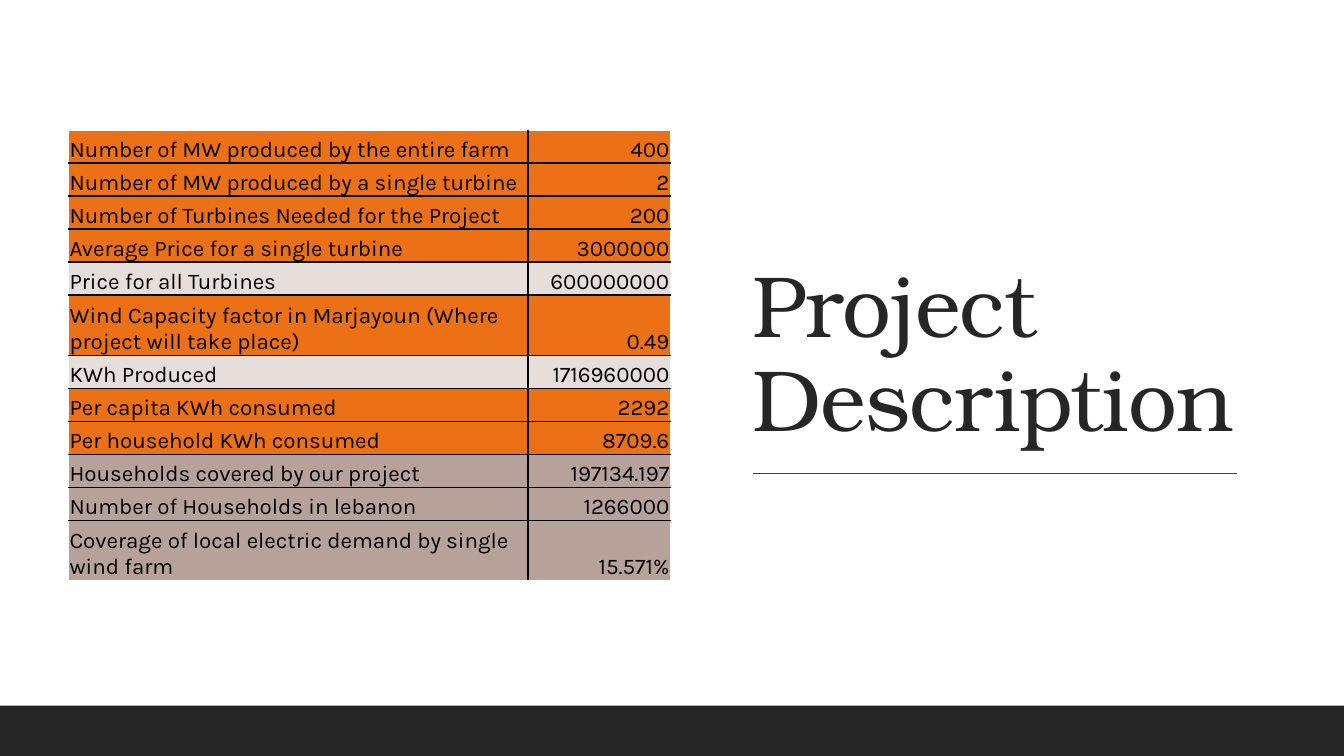
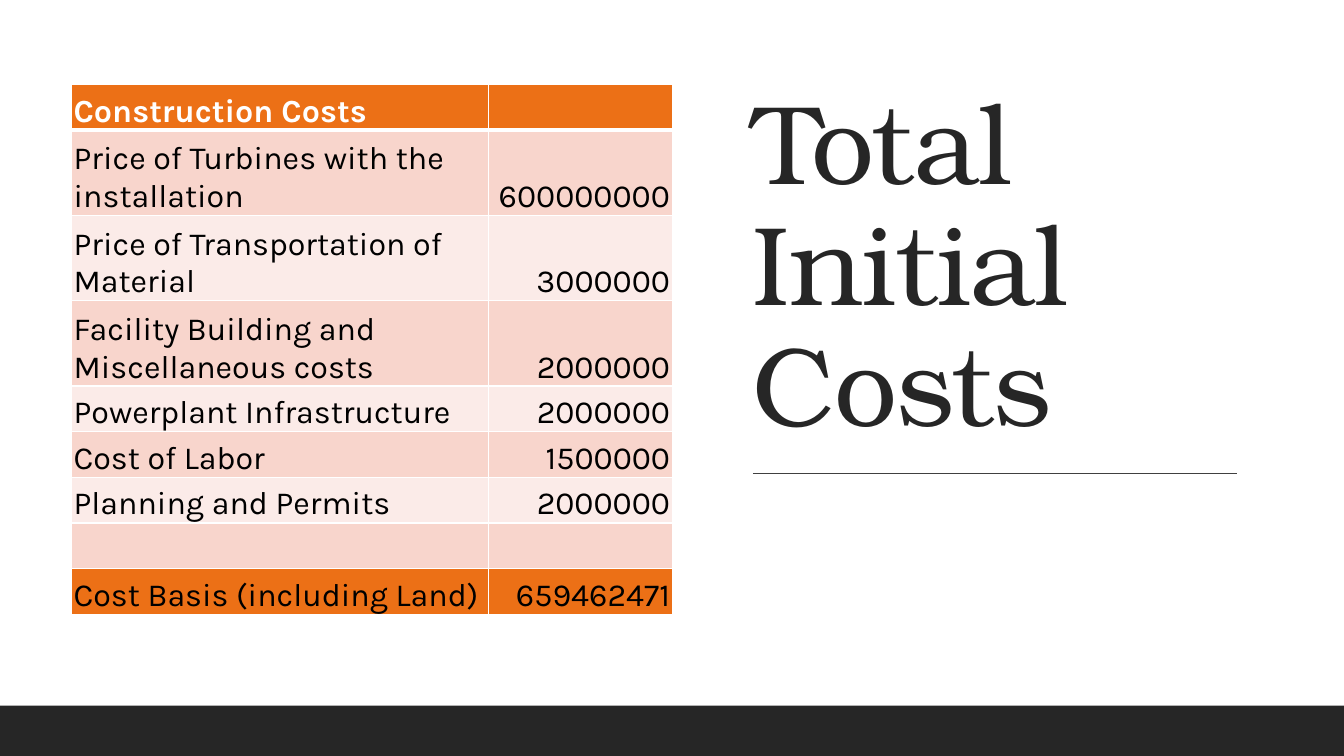
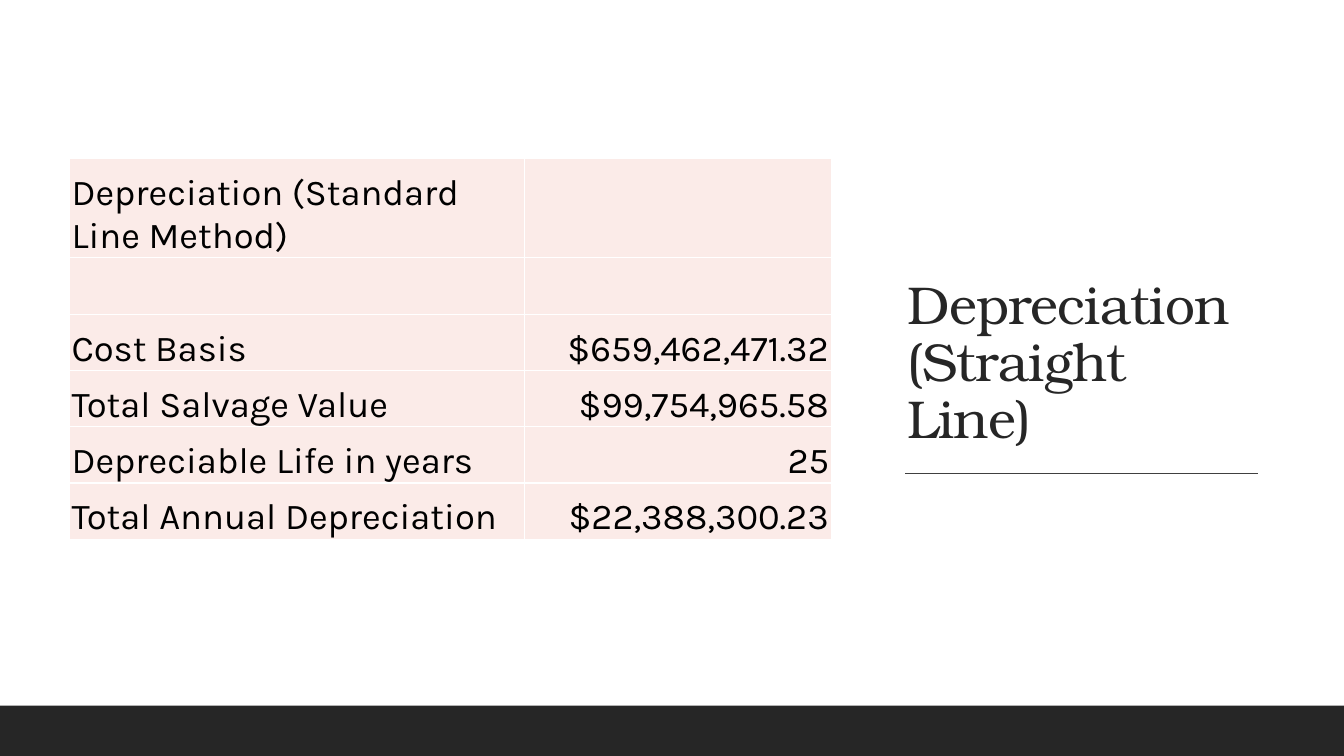
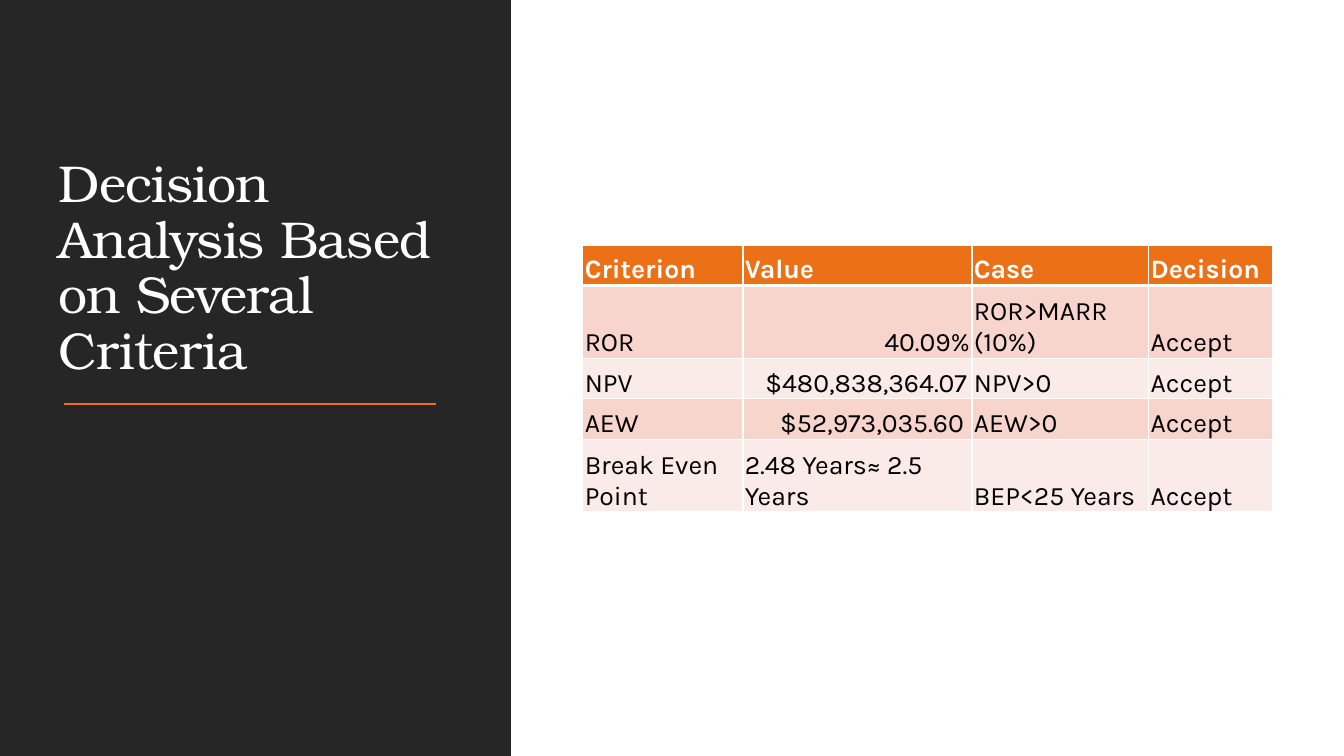
from lxml import etree
from pptx import Presentation
from pptx.dml.color import RGBColor
from pptx.enum.shapes import MSO_CONNECTOR, MSO_SHAPE
from pptx.enum.text import MSO_ANCHOR, MSO_AUTO_SIZE, PP_ALIGN
from pptx.oxml.ns import qn
from pptx.util import Pt

RECTANGLE = MSO_SHAPE.RECTANGLE
STRAIGHT = MSO_CONNECTOR.STRAIGHT
BOTTOM = MSO_ANCHOR.BOTTOM
LEFT, RIGHT = PP_ALIGN.LEFT, PP_ALIGN.RIGHT
NO_AUTOFIT = MSO_AUTO_SIZE.NONE

WHITE, BLACK, DARK, GREY = "FFFFFF", "000000", "262626", "404040"
ORANGE, ROSE, BLUSH = "EC7016", "F8D5CC", "FBEBE8"
STONE, TAUPE = "E5DEDB", "B6A29A"
TITLE_FONT, TABLE_FONT = "TeX Gyre Bonum", "Karla"

SLIDE_WIDTH, SLIDE_HEIGHT = 960, 540
BAND_TOP = 504
TITLE_TOP = 50.4
TITLE_BOTTOM = 325.4
RULE_TOP = 338.4
TITLE_ONLY_LAYOUT = 5

PROJECT_ROWS = [
    (ORANGE, "Number of MW produced by the entire farm", "400"),
    (ORANGE, "Number of MW produced by a single turbine", "2"),
    (ORANGE, "Number of Turbines Needed for the Project", "200"),
    (ORANGE, "Average Price for a single turbine", "3000000"),
    (STONE, "Price for all Turbines", "600000000"),
    (ORANGE, "Wind Capacity factor in Marjayoun (Where project will take place)", "0.49"),
    (STONE, "KWh Produced", "1716960000"),
    (ORANGE, "Per capita KWh consumed", "2292"),
    (ORANGE, "Per household KWh consumed", "8709.6"),
    (TAUPE, "Households covered by our project", "197134.197"),
    (TAUPE, "Number of Households in lebanon", "1266000"),
    (TAUPE, "Coverage of local electric demand by single wind farm", "15.571%"),
]
COST_ROWS = [
    (ORANGE, "Construction Costs", ""),
    (ROSE, "Price of Turbines with the installation", "600000000"),
    (BLUSH, "Price of Transportation of Material", "3000000"),
    (ROSE, "Facility Building and Miscellaneous costs", "2000000"),
    (BLUSH, "Powerplant Infrastructure", "2000000"),
    (ROSE, "Cost of Labor", "1500000"),
    (BLUSH, "Planning and Permits", "2000000"),
    (ROSE, "", ""),
    (ORANGE, "Cost Basis (including Land)", "659462471"),
]
DEPRECIATION_ROWS = [
    (BLUSH, "Depreciation (Standard Line Method)", ""),
    (BLUSH, "", ""),
    (BLUSH, "Cost Basis", "$659,462,471.32"),
    (BLUSH, "Total Salvage Value", "$99,754,965.58"),
    (BLUSH, "Depreciable Life in years", "25"),
    (BLUSH, "Total Annual Depreciation", "$22,388,300.23"),
]
DECISION_ROWS = [
    (ORANGE, "Criterion", "Value", "Case", "Decision"),
    (ROSE, "ROR", "40.09%", "ROR>MARR (10%)", "Accept"),
    (BLUSH, "NPV", "$480,838,364.07", "NPV>0", "Accept"),
    (ROSE, "AEW", "$52,973,035.60", "AEW>0", "Accept"),
    (BLUSH, "Break Even Point", "2.48 Years≈ 2.5 Years", "BEP<25 Years", "Accept"),
]


def color(hex_string):
    """Turn a hex string into a colour."""
    return RGBColor.from_string(hex_string)


def add_run(paragraph, text, font_name, size, hex_string, bold=False):
    """Add a formatted run to a paragraph and return it."""
    run = paragraph.add_run()
    run.text = text
    run.font.name = font_name
    run.font.size = Pt(size)
    run.font.bold = bold
    run.font.color.rgb = color(hex_string)
    return run


def add_panel(slide, left, top, width, height):
    """Add a dark rectangle behind everything else."""
    shape = slide.shapes.add_shape(RECTANGLE, Pt(left), Pt(top), Pt(width), Pt(height))
    shape.shadow.inherit = False
    shape.fill.solid()
    shape.fill.fore_color.rgb = color(DARK)
    shape.line.fill.background()
    slide.shapes._spTree.insert(2, shape._element)


def add_rule(slide, left, right, top, hex_string, weight):
    """Add the horizontal line under a title."""
    line = slide.shapes.add_connector(STRAIGHT, Pt(left), Pt(top), Pt(right), Pt(top))
    line.line.color.rgb = color(hex_string)
    line.line.width = Pt(weight)
    etree.SubElement(line._element.spPr, qn("a:effectLst"))


def set_title(slide, text, left, width, size, bottom=TITLE_BOTTOM, hex_string=DARK):
    """Place the title placeholder and write its text."""
    title = slide.shapes.title
    title.left, title.top = Pt(left), Pt(TITLE_TOP)
    title.width, title.height = Pt(width), Pt(bottom - TITLE_TOP)
    frame = title.text_frame
    frame.word_wrap = True
    frame.auto_size = NO_AUTOFIT
    frame.vertical_anchor = BOTTOM
    paragraph = frame.paragraphs[0]
    paragraph.alignment = LEFT
    paragraph.line_spacing = 0.9
    run = add_run(paragraph, text, TITLE_FONT, size, hex_string)
    run._r.get_or_add_rPr().set("spc", "-50")


def add_border(cell, side, hex_string, weight):
    """Draw one side (L, R, T or B) of a cell."""
    properties = cell._tc.get_or_add_tcPr()
    line = etree.SubElement(properties, qn(f"a:ln{side}"), w=str(Pt(weight)))
    fill = etree.SubElement(line, qn("a:solidFill"))
    etree.SubElement(fill, qn("a:srgbClr"), val=hex_string)


def is_number(text):
    """Tell whether a text is a plain figure."""
    return not text.strip("$%,.0123456789")


def fill_cell(cell, text, size, fill, inset, header):
    """Fill a cell and write its text, with figures to the right."""
    cell.fill.solid()
    cell.fill.fore_color.rgb = color(fill)
    cell.margin_left = cell.margin_right = cell.margin_top = Pt(inset)
    cell.margin_bottom = 0
    cell.vertical_anchor = BOTTOM
    paragraph = cell.text_frame.paragraphs[0]
    paragraph.alignment = RIGHT if is_number(text) else LEFT
    if text:
        add_run(paragraph, text, TABLE_FONT, size, WHITE if header else BLACK, header)
    else:
        paragraph.font.size = Pt(size)


def add_table(slide, left, top, widths, rows, size, heights, tall_rows,
              inset=1.4, header=False, inner=(WHITE, 1)):
    """Add a table; heights holds the one-line and two-line row heights."""
    row_heights = [heights[index in tall_rows] for index in range(len(rows))]
    frame = slide.shapes.add_table(len(rows), len(widths), Pt(left), Pt(top),
                                   Pt(sum(widths)), Pt(sum(row_heights)))
    table = frame.table
    table.first_row = table.horz_banding = False
    for column, width in zip(table.columns, widths):
        column.width = Pt(width)
    outer = (WHITE, 1)
    last_row, last_column = len(rows) - 1, len(widths) - 1
    for row_index, (fill, *texts) in enumerate(rows):
        table.rows[row_index].height = Pt(row_heights[row_index])
        above = (WHITE, 3) if header and row_index == 1 else inner
        below = (WHITE, 3) if header and row_index == 0 else inner
        for column_index, text in enumerate(texts):
            cell = table.cell(row_index, column_index)
            add_border(cell, "L", *(inner if column_index else outer))
            add_border(cell, "R", *(inner if column_index < last_column else outer))
            add_border(cell, "T", *(above if row_index else outer))
            add_border(cell, "B", *(below if row_index < last_row else outer))
            fill_cell(cell, text, size, fill, inset, header and row_index == 0)
    return table


def add_slide(presentation):
    """Add a slide that has only a title."""
    return presentation.slides.add_slide(presentation.slide_layouts[TITLE_ONLY_LAYOUT])


def add_banded_slide(presentation, title, left, width, size, rule):
    """Add a slide with a title at the right, a rule and a bottom band."""
    slide = add_slide(presentation)
    add_panel(slide, 0, BAND_TOP, SLIDE_WIDTH, SLIDE_HEIGHT - BAND_TOP)
    set_title(slide, title, left, width, size)
    add_rule(slide, *rule, RULE_TOP, GREY, 1)
    return slide


def add_decision_slide(presentation):
    """Add the slide with a dark panel at the left."""
    slide = add_slide(presentation)
    add_panel(slide, 0, 0, 365, SLIDE_HEIGHT)
    set_title(slide, "Decision Analysis Based on Several Criteria", 34.6, 288, 37,
              bottom=275.8, hex_string=WHITE)
    add_rule(slide, 45.4, 311.8, 288.7, ORANGE, 1.5)
    table = add_table(slide, 416.3, 175, [114.4, 163.6, 126.3, 88.8], DECISION_ROWS, 19,
                      (29, 51.8), {1, 4}, header=True)
    table.cell(2, 1).margin_right = Pt(3.5)
    table.cell(3, 1).margin_right = Pt(5.7)


def main():
    """Build and save the presentation."""
    presentation = Presentation()
    presentation.slide_width, presentation.slide_height = Pt(SLIDE_WIDTH), Pt(SLIDE_HEIGHT)

    wide_title = {"left": 530, "width": 378.7, "rule": (537.8, 883.4)}
    slide = add_banded_slide(presentation, "Project Description", size=62, **wide_title)
    add_table(slide, 49, 93, [328.3, 101.5], PROJECT_ROWS, 16, (23.6, 43), {5, 11},
              inset=0.7, inner=(BLACK, 1.5))

    slide = add_banded_slide(presentation, "Total Initial Costs", size=80, **wide_title)
    add_table(slide, 51.2, 60.5, [298, 131], COST_ROWS, 23, (32.6, 60.9), {1, 2, 3},
              header=True)

    slide = add_banded_slide(presentation, "Depreciation (Straight Line)", 640.8, 267.8, 38,
                             (646.6, 898.6))
    add_table(slide, 49.7, 113, [324.7, 219.4], DEPRECIATION_ROWS, 26, (40.2, 71.2), {0})

    add_decision_slide(presentation)
    presentation.save("out.pptx")


if __name__ == "__main__":
    main()
